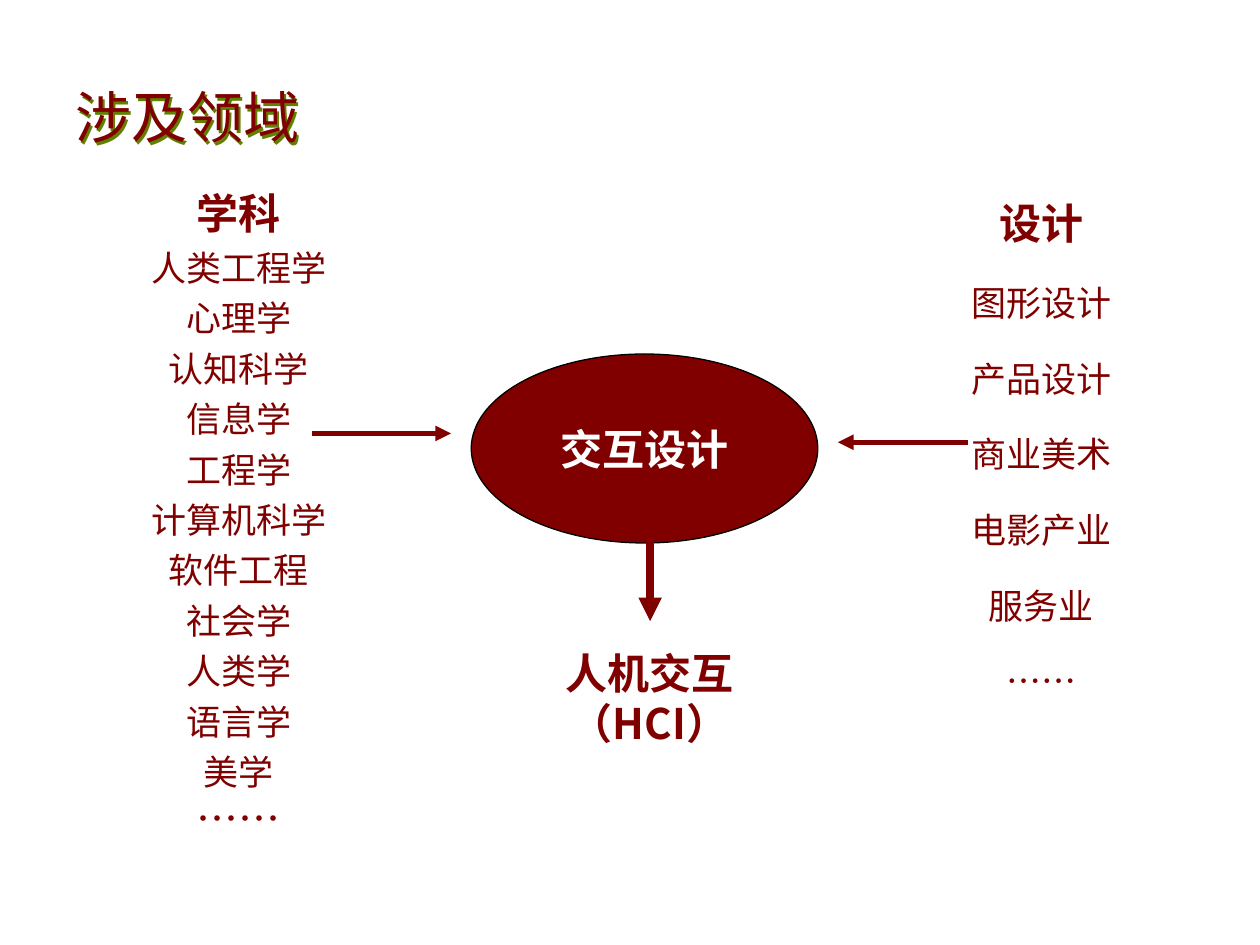
"""Build the slide on the fields that feed into interaction design."""
from dataclasses import dataclass

from lxml import etree
from pptx import Presentation
from pptx.dml.color import RGBColor
from pptx.enum import shapes, text
from pptx.oxml.ns import qn
from pptx.util import Emu, Inches, Pt

COLS, ROWS = 100, 75
CELL = Inches(0.1)
MAROON, OLIVE, WHITE, BLACK = "800000", "608000", "FFFFFF", "000000"
CJK = "Noto Sans CJK SC"


@dataclass
class Box:
    """A rectangle in grid columns and rows."""
    x: float
    y: float
    w: float
    h: float


@dataclass
class Arrow:
    """A straight arrow between two grid points."""
    x1: float
    y1: float
    x2: float
    y2: float
    width: float = 3
    ends: tuple[str, ...] = ("tailEnd",)


@dataclass
class Field:
    """A headed list of subjects closed by an ellipsis line."""
    box: Box
    heading: str
    items: list[str]
    spacing: float
    last_size: float
    last_spacing: float


FIELDS = [
    Field(Box(8.3, 13.6, 21.3, 57.8), "学科",
          ["人类工程学", "心理学", "认知科学", "信息学", "工程学", "计算机科学",
           "软件工程", "社会学", "人类学", "语言学", "美学"], 1.2, 24, 1.0),
    Field(Box(72, 12, 21.3, 49.6), "设计",
          ["图形设计", "产品设计", "商业美术", "电影产业", "服务业"], 1.8, 20, 1.8),
]
ARROWS = [
    Arrow(24.8, 34.4, 35.8, 34.4),
    Arrow(76.8, 35.1, 66.5, 35.1),
    Arrow(51.6, 38.3, 51.6, 49.3, 4.5, ("headEnd", "tailEnd")),
]


def color(value: str) -> RGBColor:
    """Turn a hex string into a colour."""
    return RGBColor.from_string(value)


def grid(*values: float) -> list[Emu]:
    """Turn grid units into lengths."""
    return [Emu(round(v * CELL)) for v in values]


def add_text(tf, content: str, *, size: float = 24, bold: bool = False,
             fill: str = MAROON, font: str = CJK, spacing: float = 1.0,
             align=text.PP_ALIGN.CENTER) -> None:
    """Write one formatted paragraph into a text frame."""
    p = tf.paragraphs[0] if not tf.text else tf.add_paragraph()
    p.alignment, p.line_spacing = align, spacing
    r = p.add_run()
    r.text = content
    r.font.size, r.font.bold, r.font.name = Pt(size), bold, font
    r.font.color.rgb = color(fill)
    etree.SubElement(r._r.get_or_add_rPr(), qn("a:ea"), typeface=CJK)


def add_box(slide, box: Box):
    """Add a wrapping text box."""
    sp = slide.shapes.add_textbox(*grid(box.x, box.y, box.w, box.h))
    sp.text_frame.word_wrap = True
    return sp


def add_title(slide, content: str) -> None:
    """Add the title with its coloured shadow."""
    sp = add_box(slide, Box(5, 3, 90, 12.5))
    tf = sp.text_frame
    tf.vertical_anchor = text.MSO_ANCHOR.MIDDLE
    add_text(tf, content, size=32, font="Arial", align=text.PP_ALIGN.LEFT)
    effects = etree.SubElement(sp._element.spPr, qn("a:effectLst"))
    shadow = etree.SubElement(effects, qn("a:outerShdw"), dist=str(Pt(2)),
                              dir="2700000", algn="ctr", rotWithShape="0")
    etree.SubElement(shadow, qn("a:srgbClr"), val=OLIVE)


def add_hub(slide, content: str) -> None:
    """Add the central ellipse."""
    sp = slide.shapes.add_shape(shapes.MSO_SHAPE.OVAL, *grid(37.4, 28.1, 27.5, 15))
    sp.shadow.inherit = False
    sp.fill.solid()
    sp.fill.fore_color.rgb = color(MAROON)
    sp.line.color.rgb, sp.line.width = color(BLACK), Pt(0.75)
    tf = sp.text_frame
    tf.word_wrap, tf.vertical_anchor = False, text.MSO_ANCHOR.MIDDLE
    add_text(tf, content, bold=True, fill=WHITE)


def add_arrow(slide, arrow: Arrow) -> None:
    """Add a connector with triangular ends."""
    sp = slide.shapes.add_connector(
        shapes.MSO_CONNECTOR.STRAIGHT,
        *grid(arrow.x1, arrow.y1, arrow.x2, arrow.y2))
    sp.line.color.rgb, sp.line.width = color(MAROON), Pt(arrow.width)
    for end in arrow.ends:
        etree.SubElement(sp.line._get_or_add_ln(), qn(f"a:{end}"), type="triangle")
    etree.SubElement(sp._element.spPr, qn("a:effectLst"))


def add_field(slide, field: Field) -> None:
    """Add a heading with its list of subjects."""
    tf = add_box(slide, field.box).text_frame
    add_text(tf, field.heading, bold=True, spacing=field.spacing)
    for item in field.items:
        add_text(tf, item, size=20, spacing=field.spacing)
    add_text(tf, "……", size=field.last_size, spacing=field.last_spacing)


def main() -> None:
    """Build and save the slide."""
    prs = Presentation()
    prs.slide_width, prs.slide_height = grid(COLS, ROWS)
    slide = prs.slides.add_slide(prs.slide_layouts[6])
    add_hub(slide, "交互设计")
    tf = add_box(slide, Box(42.9, 50.9, 17.3, 9)).text_frame
    for line in ("人机交互", "（HCI）"):
        add_text(tf, line, bold=True)
    for arrow in ARROWS:
        add_arrow(slide, arrow)
    for field in FIELDS:
        add_field(slide, field)
    add_title(slide, "涉及领域")
    prs.save("out.pptx")


if __name__ == "__main__":
    main()
